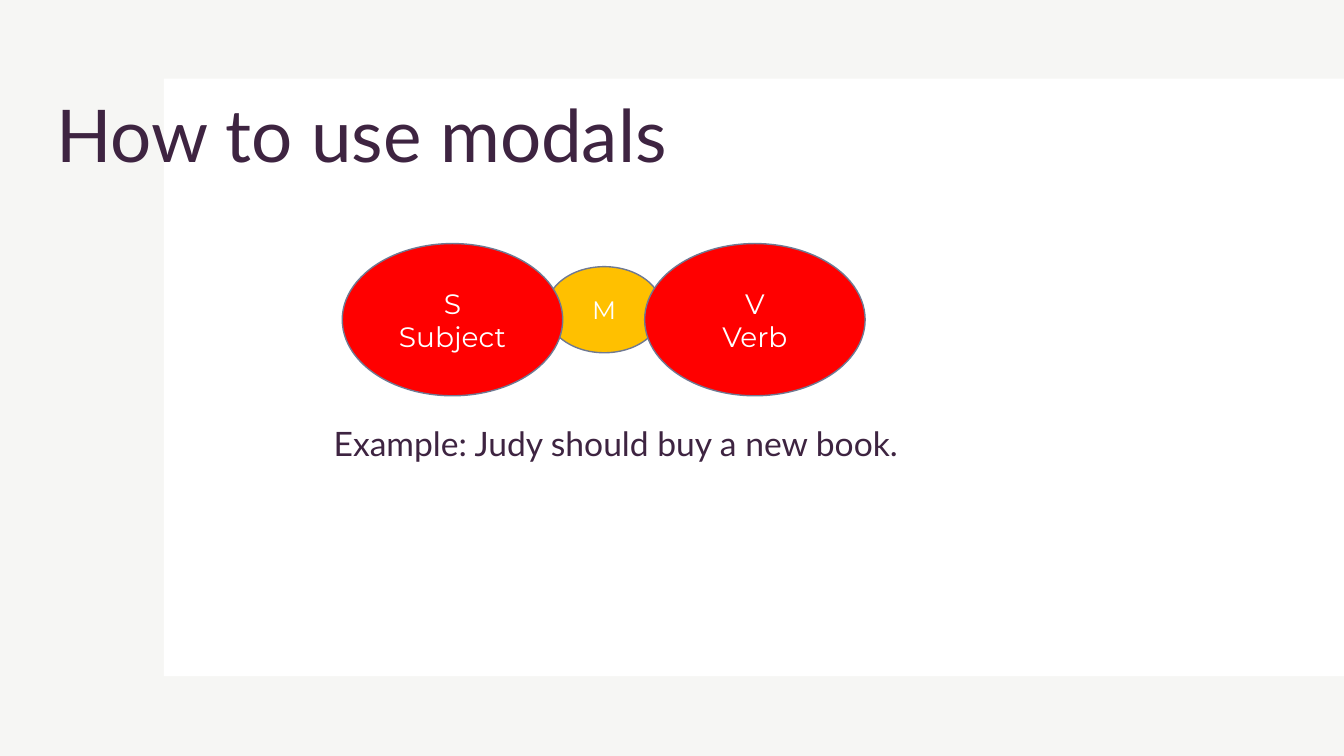
import dataclasses

import lxml.etree
import pptx
import pptx.dml.color
import pptx.enum.shapes
import pptx.enum.text
import pptx.oxml.ns
import pptx.util

PX = 9525
SHAPE = pptx.enum.shapes.MSO_SHAPE
ALIGN = pptx.enum.text.PP_ALIGN
ANCHOR = pptx.enum.text.MSO_ANCHOR


@dataclasses.dataclass(frozen=True)
class Theme:
    """Colours, fonts and type sizes of the slide."""
    backdrop: str = "E8E6E2"
    backdrop_opacity: int = 35
    panel: str = "FFFFFF"
    ink: str = "3E2441"
    noun: str = "FF0000"
    modal: str = "FFC000"
    outline: str = "6F7992"
    label: str = "FFFFFF"
    text_font: str = "Lato"
    label_font: str = "Montserrat"
    title_size: int = 52
    body_size: int = 24
    label_size: int = 20
    modal_size: int = 18


THEME = Theme()


def rgb(code):
    """Turn a hex code into a colour."""
    return pptx.dml.color.RGBColor.from_string(code)


def emu(box):
    """Turn a box in px into EMU lengths."""
    return [pptx.util.Emu(length * PX) for length in box]


def write_lines(frame, lines, font, size, colour, align):
    """Write one paragraph per line into a text frame."""
    frame.word_wrap = True
    for index, line in enumerate(lines):
        para = frame.add_paragraph() if index else frame.paragraphs[0]
        para.alignment = align
        span = para.add_run()
        span.text = line
        span.font.name = font
        span.font.size = pptx.util.Pt(size)
        span.font.color.rgb = rgb(colour)


def add_filled(page, kind, box, fill, outline=None):
    """Add a flat shape with an optional outline."""
    shape = page.shapes.add_shape(kind, *emu(box))
    shape.shadow.inherit = False
    shape.fill.solid()
    shape.fill.fore_color.rgb = rgb(fill)
    if outline:
        shape.line.color.rgb = rgb(outline)
        shape.line.width = pptx.util.Pt(1)
    else:
        shape.line.fill.background()
    return shape


def add_backdrop(page, box):
    """Tint the page and lay the white panel over it."""
    left, top, width, height = box
    tint = add_filled(page, SHAPE.RECTANGLE, box, THEME.backdrop)
    colour = tint.fill._xPr.find(".//" + pptx.oxml.ns.qn("a:srgbClr"))
    alpha = lxml.etree.SubElement(colour, pptx.oxml.ns.qn("a:alpha"))
    alpha.set("val", str(THEME.backdrop_opacity * 1000))
    panel = (left + 156, top + 75, width - 156, height - 151)
    add_filled(page, SHAPE.RECTANGLE, panel, THEME.panel)


def add_title(page, box, text):
    """Add the slide title, centred vertically in its box."""
    frame = page.shapes.add_textbox(*emu(box)).text_frame
    frame.vertical_anchor = ANCHOR.MIDDLE
    write_lines(frame, [text], THEME.text_font, THEME.title_size, THEME.ink, ALIGN.LEFT)
    frame.paragraphs[0].line_spacing = 0.9


def add_example(page, box, text):
    """Add the example sentence at the top of its box."""
    frame = page.shapes.add_textbox(*emu(box)).text_frame
    write_lines(frame, [text], THEME.text_font, THEME.body_size, THEME.ink, ALIGN.CENTER)
    frame.paragraphs[0].line_spacing = pptx.util.Pt(28)


def add_bubble(page, box, lines, fill, size):
    """Add an outlined ellipse with a centred label."""
    bubble = add_filled(page, SHAPE.OVAL, box, fill, THEME.outline)
    bubble.text_frame.vertical_anchor = ANCHOR.MIDDLE
    write_lines(bubble.text_frame, lines, THEME.label_font, size, THEME.label, ALIGN.CENTER)


def add_pattern(page, box):
    """Join subject and verb with the modal tucked behind them."""
    left, top, width, height = box
    side = 210
    modal = (left + 194, top + 22, 111, 82)
    add_bubble(page, modal, ["M"], THEME.modal, THEME.modal_size)
    for offset, lines in ((width - side, ["V", "Verb"]), (0, ["S", "Subject"])):
        oval = (left + offset, top, side, height)
        add_bubble(page, oval, lines, THEME.noun, THEME.label_size)


def main():
    """Build the slide and save it."""
    deck = pptx.Presentation()
    deck.slide_width, deck.slide_height = emu((1280, 720))
    page = deck.slides.add_slide(deck.slide_layouts[6])
    add_backdrop(page, (0, 0, 1280, 720))
    add_title(page, (44, 80, 1107, 104), "How to use modals")
    add_example(page, (33, 399, 1107, 295), "Example: Judy should buy a new book.")
    add_pattern(page, (326, 232, 498, 145))
    deck.save("out.pptx")


if __name__ == "__main__":
    main()
